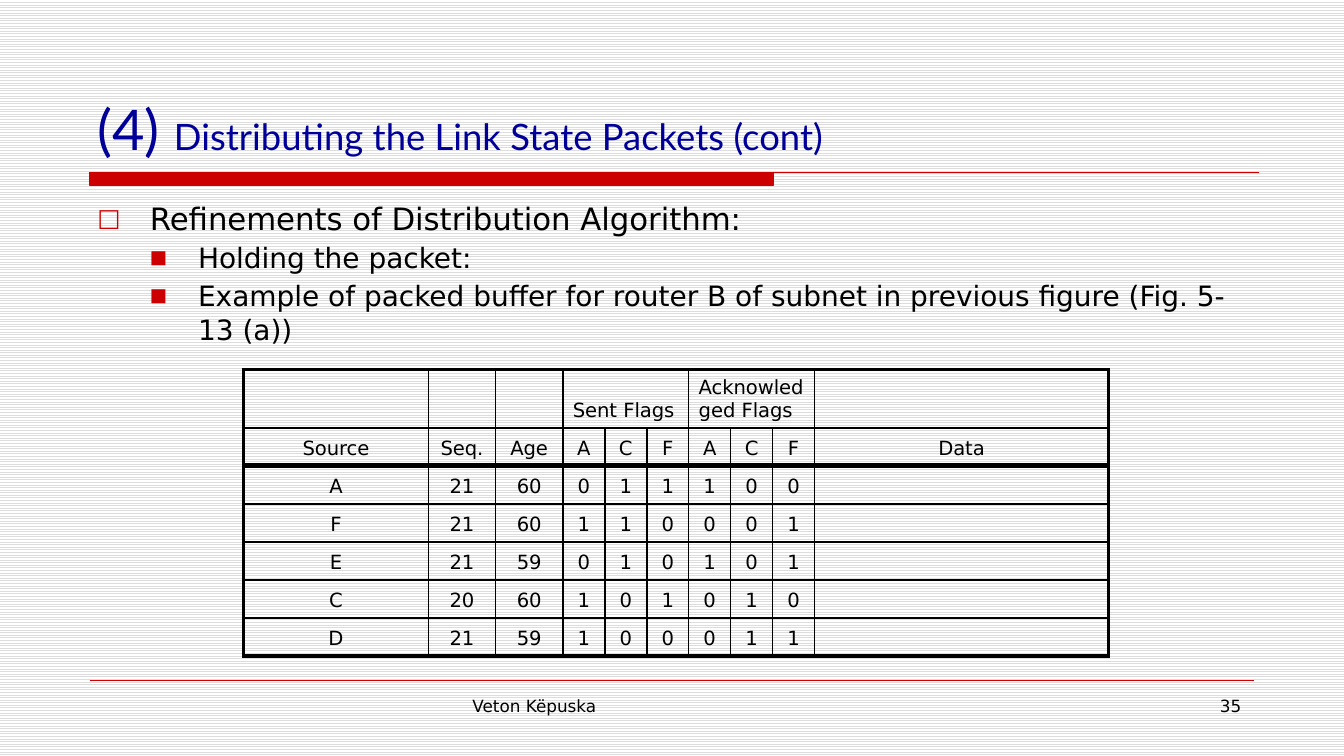
from dataclasses import dataclass
from lxml.etree import SubElement
from pptx import Presentation
from pptx.dml.color import RGBColor
from pptx.enum.dml import MSO_PATTERN
from pptx.enum.shapes import MSO_CONNECTOR
from pptx.enum.text import MSO_ANCHOR, PP_ALIGN
from pptx.oxml.ns import qn
from pptx.util import Inches, Pt

RED, NAVY, BLACK = "CC0000", "000099", "000000"
BODY_FONT, TITLE_FONT = "DejaVu Sans", "Lato"
COLUMNS, ROWS = 120, 67.5


def grid(units):
    return round(units * Inches(1) / 12)


def color(value):
    return RGBColor.from_string(value)


@dataclass
class Box:
    left: float
    top: float
    width: float
    height: float

    def place(self):
        return [grid(units) for units in (self.left, self.top, self.width, self.height)]


def apply_formats(target, formats):
    for name, value in formats.items():
        setattr(target, name, value)


def add_run(paragraph, text, size, font=BODY_FONT, ink=BLACK):
    run = paragraph.add_run()
    run.text = text
    apply_formats(run.font, {"size": Pt(size), "name": font})
    run.font.color.rgb = color(ink)


def add_text_frame(slide, box, anchor=MSO_ANCHOR.TOP):
    frame = slide.shapes.add_textbox(*box.place()).text_frame
    apply_formats(frame, {"word_wrap": True, "vertical_anchor": anchor})
    return frame


def add_bullet(paragraph, character, percent, margin, hanging):
    properties = paragraph._p.get_or_add_pPr()
    properties.set("marL", str(grid(margin)))
    properties.set("indent", str(-grid(hanging)))
    bullet_color = SubElement(properties, qn("a:buClr"))
    SubElement(bullet_color, qn("a:srgbClr"), val=RED)
    SubElement(properties, qn("a:buSzPct"), val=str(percent * 1000))
    SubElement(properties, qn("a:buFont"), typeface=BODY_FONT)
    SubElement(properties, qn("a:buChar"), char=character)


def add_title(slide, box):
    paragraph = add_text_frame(slide, box, MSO_ANCHOR.BOTTOM).paragraphs[0]
    add_run(paragraph, "(4) ", 30, TITLE_FONT, NAVY)
    add_run(paragraph, "Distributing the Link State Packets (cont)", 19.5, TITLE_FONT, NAVY)


def add_title_rule(slide, box):
    left, top, width, height = box.place()
    bar_right, bottom = left + round(width * 0.585), top + height
    builder = slide.shapes.build_freeform(left, top)
    builder.add_line_segments([(bar_right, top), (bar_right, bottom), (left, bottom)], close=True)
    builder.move_to(left, top)
    builder.add_line_segments([(left + width, top)], close=False)
    rule = builder.convert_to_shape()
    rule.shadow.inherit = False
    rule.fill.solid()
    rule.fill.fore_color.rgb = color(RED)
    rule.line.color.rgb = color(RED)
    rule.line.width = Pt(0.75)


def add_body(slide, box):
    frame = add_text_frame(slide, box)
    items = [
        (0, "Refinements of Distribution Algorithm:"),
        (1, "Holding the packet:"),
        (1, "Example of packed buffer for router B of subnet in previous figure (Fig. 5-13 (a))"),
    ]
    styles = [("□", 80, 4.7, 4.7, 16.5), ("■", 65, 9, 4.3, 15)]
    for index, (level, text) in enumerate(items):
        paragraph = frame.add_paragraph() if index else frame.paragraphs[0]
        *bullet, size = styles[level]
        paragraph.level = level
        if index:
            paragraph.space_before = Pt(size * 0.15)
        add_bullet(paragraph, *bullet)
        add_run(paragraph, text, size)


def set_borders(cell, widths):
    properties = cell._tc.get_or_add_tcPr()
    for side, width in zip("LRTB", widths):
        border = SubElement(properties, qn(f"a:ln{side}"), w=str(Pt(width)))
        fill = SubElement(border, qn("a:solidFill"))
        SubElement(fill, qn("a:srgbClr"), val=BLACK)


def add_packet_table(slide, box):
    values = [
        ["", "", "", "Sent Flags", "", "", "Acknowledged Flags", "", "", ""],
        ["Source", "Seq.", "Age", *"ACFACF", "Data"],
        ["A", "21", "60", *"011100", ""],
        ["F", "21", "60", *"110001", ""],
        ["E", "21", "59", *"010101", ""],
        ["C", "20", "60", *"101010", ""],
        ["D", "21", "59", *"100011", ""],
    ]
    column_widths = [16.5, 6, 6] + [3.75] * 6 + [26.25]
    row_heights = [box.height * 0.2] + [box.height * 0.8 / 6] * 6
    row_lines = [2.25, 1, 3, 1, 1, 1, 1, 2.25]
    column_lines = [2.25] + [1] * 9 + [2.25]
    table = slide.shapes.add_table(len(values), len(column_widths), *box.place()).table
    apply_formats(table, {"first_row": False, "horz_banding": False})
    for column, width in zip(table.columns, column_widths):
        column.width = grid(width)
    for row, height in zip(table.rows, row_heights):
        row.height = grid(height)
    for first in (3, 6):
        table.cell(0, first).merge(table.cell(0, first + 2))
    margins = {
        "margin_left": grid(0.9), "margin_right": grid(0.9),
        "margin_top": grid(0.5), "margin_bottom": grid(0.5),
        "vertical_anchor": MSO_ANCHOR.BOTTOM,
    }
    for row, texts in enumerate(values):
        for column, text in enumerate(texts):
            cell = table.cell(row, column)
            apply_formats(cell, margins)
            set_borders(cell, column_lines[column:column + 2] + row_lines[row:row + 2])
            cell.fill.background()
            paragraph = cell.text_frame.paragraphs[0]
            paragraph.alignment = PP_ALIGN.CENTER if row else PP_ALIGN.LEFT
            if text:
                add_run(paragraph, text, 10.5)
            else:
                paragraph._p.get_or_add_endParaRPr().set("sz", "1050")


def add_footer(slide, box):
    left, top, right = grid(box.left), grid(box.top), grid(box.left + box.width)
    line = slide.shapes.add_connector(MSO_CONNECTOR.STRAIGHT, left, top, right, top)
    line.line.color.rgb = color(RED)
    line.line.width = Pt(0.25)
    SubElement(line._element.spPr, qn("a:effectLst"))
    text_top, text_height = box.top + 0.75, box.height - 0.75
    parts = [
        ("Veton Këpuska", 33, 38, PP_ALIGN.LEFT),
        ("35", 78, 26, PP_ALIGN.RIGHT),
    ]
    for text, offset, width, alignment in parts:
        text_box = Box(box.left + offset, text_top, width, text_height)
        paragraph = add_text_frame(slide, text_box).paragraphs[0]
        paragraph.alignment = alignment
        add_run(paragraph, text, 9)


def set_background(slide):
    fill = slide.background.fill
    fill.patterned()
    fill.pattern = MSO_PATTERN.LIGHT_HORIZONTAL
    fill.fore_color.rgb = color("DDDDDD")
    fill.back_color.rgb = color("FFFFFF")


def main():
    presentation = Presentation()
    apply_formats(presentation, {"slide_width": grid(COLUMNS), "slide_height": grid(ROWS)})
    slide = presentation.slides.add_slide(presentation.slide_layouts[6])
    set_background(slide)
    add_title_rule(slide, Box(8, 15.4, 104.4, 1.1))
    add_footer(slide, Box(8, 60.75, 104, 5.4))
    add_title(slide, Box(7.5, 3, 105, 12))
    add_body(slide, Box(7.5, 17.25, 105, 42))
    add_packet_table(slide, Box(21.75, 33, 77.25, 25.5))
    presentation.save("out.pptx")


if __name__ == "__main__":
    main()
